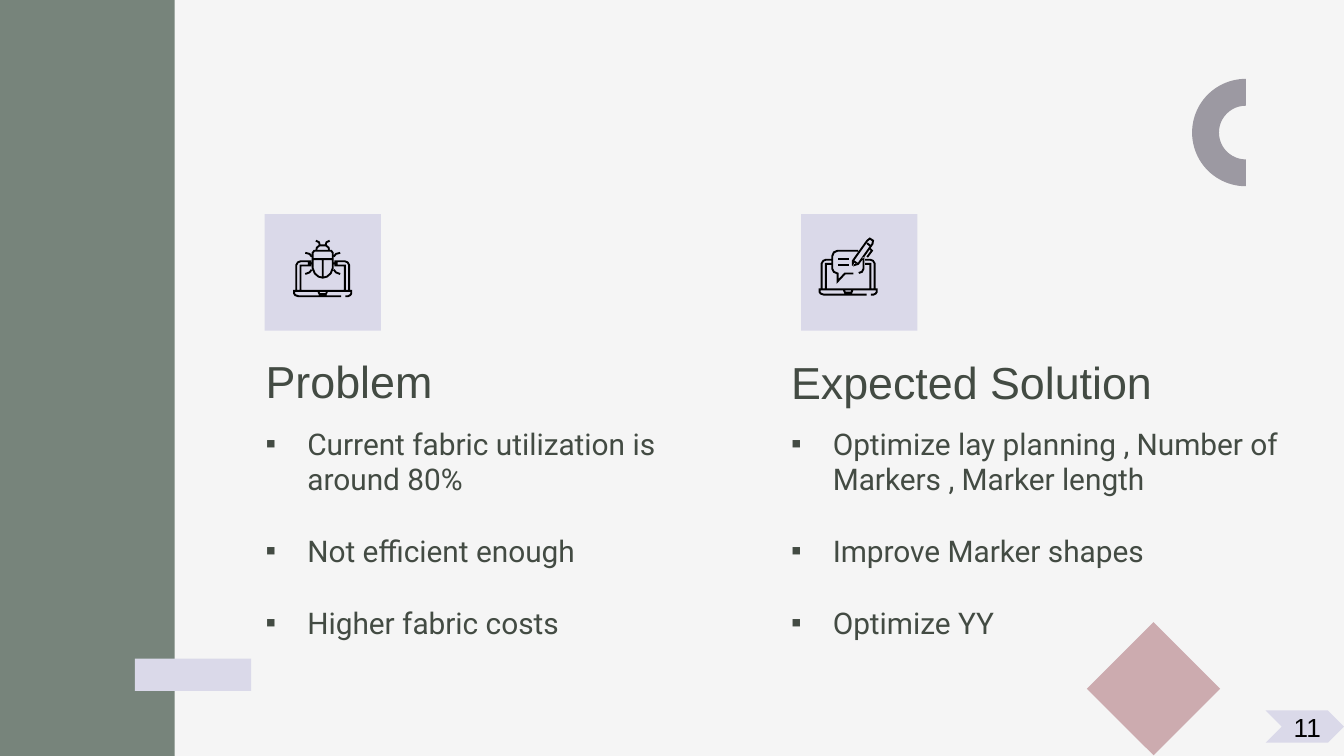
from dataclasses import dataclass
from itertools import pairwise
from math import hypot

from lxml.etree import SubElement as Sub
from pptx import Presentation
from pptx.dml.color import RGBColor as RGB
from pptx.enum.shapes import MSO_SHAPE as Kind
from pptx.enum.text import MSO_ANCHOR as Anchor
from pptx.oxml.ns import qn
from pptx.util import Cm, Pt


@dataclass(frozen=True)
class Theme:
    paper: str = "F5F5F5"
    sage: str = "77847B"
    lilac: str = "DAD9E9"
    rose: str = "CCABAF"
    grey: str = "9C99A2"
    ink: str = "434B43"
    black: str = "000000"
    plain: str = "Arial"
    body: str = "Roboto"
    head_size: int = 24
    list_size: int = 16
    page_size: int = 14


# Icon strokes in tenths of a millimetre; the middle is at x = 56.
MID = 56
HALF = 1.8
FINE = 10
BUG_HALF = [
    [(56, 11), (50, 11), (45, 15), (44, 19)],
    [(56, 21), (40, 21), (37, 25), (37, 54), (41, 64), (48, 70), (56, 72)],
    [(39, 37), (56, 37)],
    [(50, 9), (49, 5), (43, 2)],
    [(35, 32), (31, 27), (23, 25)],
    [(35, 45), (28, 45)],
    [(35, 57), (31, 62), (23, 65)],
]
BUG_MID = [[(56, 39), (56, 70)]]
CHAT = [
    [(75, 24), (36, 24), (29, 27), (26, 34), (26, 58), (29, 64), (36, 67),
     (36, 82), (50, 67), (66, 67)],
    [(76, 66), (82, 64), (85, 58), (85, 36)],
    [(65, 52), (65, 43), (92, 5), (97, 1), (103, 5), (102, 11), (75, 49),
     (65, 52)],
    [(67, 44), (73, 48)],
    [(92, 10), (97, 14)],
    [(97, 20), (101, 24), (92, 36)],
]
WORDS = [[[(37, y), (57, y)]] for y in (51, 40)]


def both(lines):
    """Return the strokes together with their mirror images."""
    return lines + [[(2 * MID - x, y) for x, y in line] for line in lines]


def laptop(edge):
    """Return laptop strokes whose lid stops at edge on either side."""
    lid = [
        [(6, 95), (6, 48), (9, 43), (14, 41), (edge, 41)],
        [(14, 95), (14, 49), (edge, 49)],
    ]
    base = [
        [(91, 107), (10, 107), (4, 105), (2, 102), (2, 97), (110, 97),
         (110, 102), (108, 105), (104, 107), (99, 107)],
        [(48, 99), (50, 103), (62, 103), (64, 99)],
    ]
    return both(lid) + base


def ribbon(line):
    """Return the outline of a stroke with mitred corners, in fine units."""
    norms = []
    for (x, y), (u, v) in pairwise(line):
        size = hypot(u - x, v - y)
        norms.append(((y - v) / size, (u - x) / size))
    there, back = [], []
    ends = zip(line, norms[:1] + norms, norms + norms[-1:])
    for (x, y), (a, b), (c, d) in ends:
        reach = HALF / (1 + a * c + b * d)
        dx, dy = (a + c) * reach, (b + d) * reach
        there.append(((x + dx) * FINE, (y + dy) * FINE))
        back.append(((x - dx) * FINE, (y - dy) * FINE))
    return there + back[::-1]


class Deck:
    """Holds the theme and the current slide."""

    def __init__(self, theme):
        self.theme = theme
        self.file = Presentation()
        self.file.slide_width, self.file.slide_height = Cm(25.4), Cm(14.29)
        self.slide = self.file.slides.add_slide(self.file.slide_layouts[6])
        self.paint(self.slide.background.fill, theme.paper)

    def paint(self, fill, tint):
        fill.solid()
        fill.fore_color.rgb = RGB.from_string(tint)

    def finish(self, item, tint):
        item.shadow.inherit = False
        self.paint(item.fill, tint)
        item.line.fill.background()

    def shape(self, kind, box, tint, turn=0, adjust=()):
        item = self.slide.shapes.add_shape(kind, *map(Cm, box))
        item.rotation = turn
        for i, value in enumerate(adjust):
            item.adjustments[i] = value
        self.finish(item, tint)

    def icon(self, left, top, parts):
        """Draw each part as one outline; group them if there are several."""
        home = self.slide.shapes
        if len(parts) > 1:
            home = home.add_group_shape().shapes
        for lines in parts:
            first, *rest = map(ribbon, lines)
            pen = home.build_freeform(*first[0], scale=Cm(0.01) / FINE)
            pen.add_line_segments(first[1:])
            for edge in rest:
                pen.move_to(*edge[0])
                pen.add_line_segments(edge[1:])
            item = pen.convert_to_shape(Cm(left), Cm(top))
            self.finish(item, self.theme.black)

    def text(self, box, lines, font, size, tint, anchor=Anchor.TOP):
        frame = self.slide.shapes.add_textbox(*map(Cm, box)).text_frame
        look = {"word_wrap": True, "vertical_anchor": anchor}
        sides = ("left", "right", "top", "bottom")
        look |= {f"margin_{side}": Cm(0.25) for side in sides}
        for key, value in look.items():
            setattr(frame, key, value)
        frame.text = "\n".join(lines)
        for para in frame.paragraphs:
            run = para.runs[0].font
            for key, value in {"name": font, "size": Pt(size)}.items():
                setattr(run, key, value)
            run.color.rgb = RGB.from_string(tint)
        return frame

    def title(self, box, words):
        t = self.theme
        self.text(box, [words], t.plain, t.head_size, t.ink, Anchor.BOTTOM)

    def bullets(self, box, lines):
        t = self.theme
        frame = self.text(box, lines, t.body, t.list_size, t.ink)
        for i, para in enumerate(frame.paragraphs):
            if i:
                para.line_spacing = 2.0
            props = para._p.get_or_add_pPr()
            for key, value in {"marL": Cm(0.79), "indent": -Cm(0.79)}.items():
                props.set(key, str(value))
            Sub(Sub(props, qn("a:buClr")), qn("a:srgbClr"), val=t.ink)
            Sub(props, qn("a:buFont"), typeface=t.plain)
            Sub(props, qn("a:buChar"), char="▪")


def main():
    theme = Theme()
    deck = Deck(theme)
    deck.shape(Kind.RECTANGLE, (0, 0, 3.3, 14.29), theme.sage)

    columns = [
        (4.77, 6.4, 8.31, "Problem",
         ["Current fabric utilization is around 80%",
          "Not efficient enough", "Higher fabric costs"]),
        (14.7, 6.43, 9.98, "Expected Solution",
         ["Optimize lay planning , Number of Markers , Marker length",
          "Improve Marker shapes", "Optimize YY"]),
    ]
    for left, top, width, head, points in columns:
        deck.title((left, top, 8.48, 1.55), head)
        deck.bullets((left, 7.79, width, 4.34), points)

    deck.shape(Kind.RECTANGLE, (20.91, 12.13, 1.78, 1.78), theme.rose, turn=45)
    deck.shape(Kind.RECTANGLE, (2.55, 12.45, 2.2, 0.61), theme.lilac)
    deck.shape(Kind.BLOCK_ARC, (22.53, 1.49, 2.03, 2.03), theme.grey,
               turn=270, adjust=(108, 0, 0.25))
    for left in (5, 15.14):
        deck.shape(Kind.RECTANGLE, (left, 4.05, 2.2, 2.2), theme.lilac)
    deck.icon(5.54, 4.53, [laptop(34) + both(BUG_HALF) + BUG_MID])
    deck.icon(15.47, 4.5, [laptop(24) + CHAT] + WORDS)

    deck.shape(Kind.CHEVRON, (23.92, 13.43, 1.48, 0.61), theme.lilac)
    deck.text((24.2, 13.31, 1.2, 0.86), ["11"], theme.plain,
              theme.page_size, theme.black, Anchor.MIDDLE)
    deck.file.save("out.pptx")


if __name__ == "__main__":
    main()
